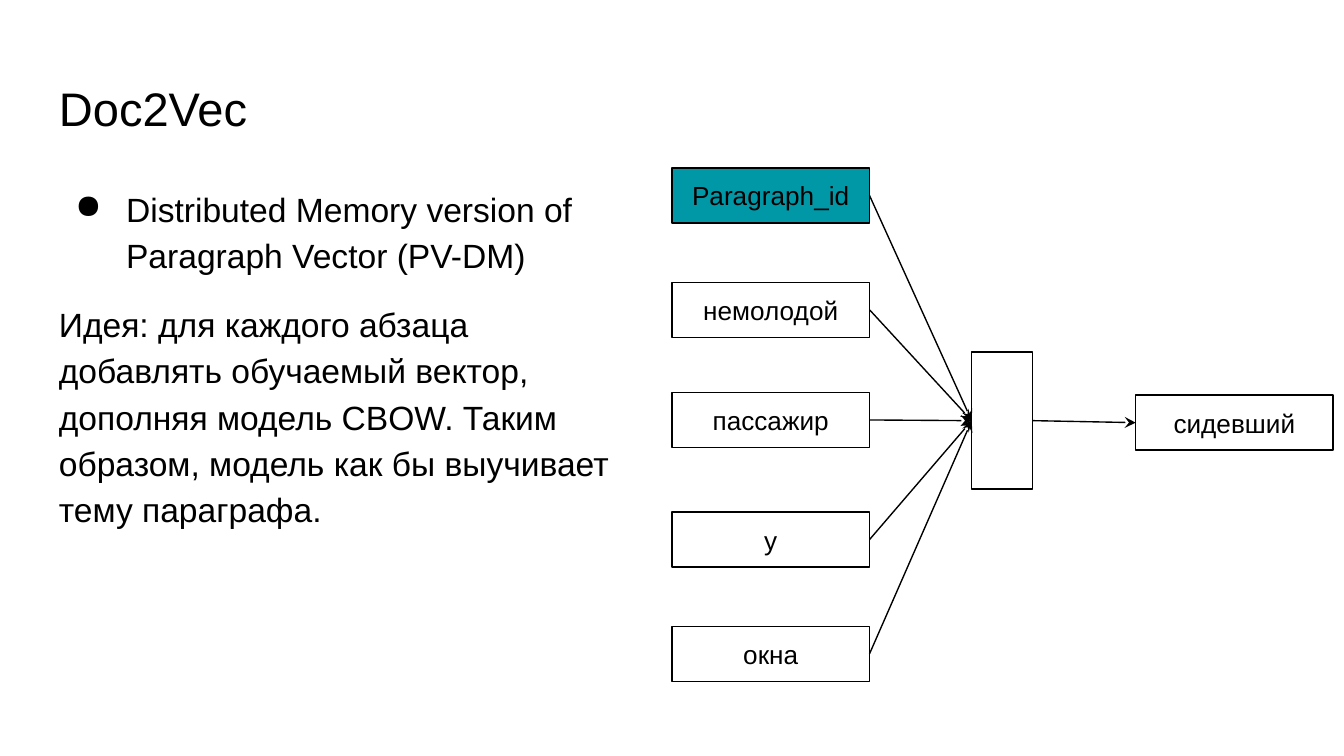
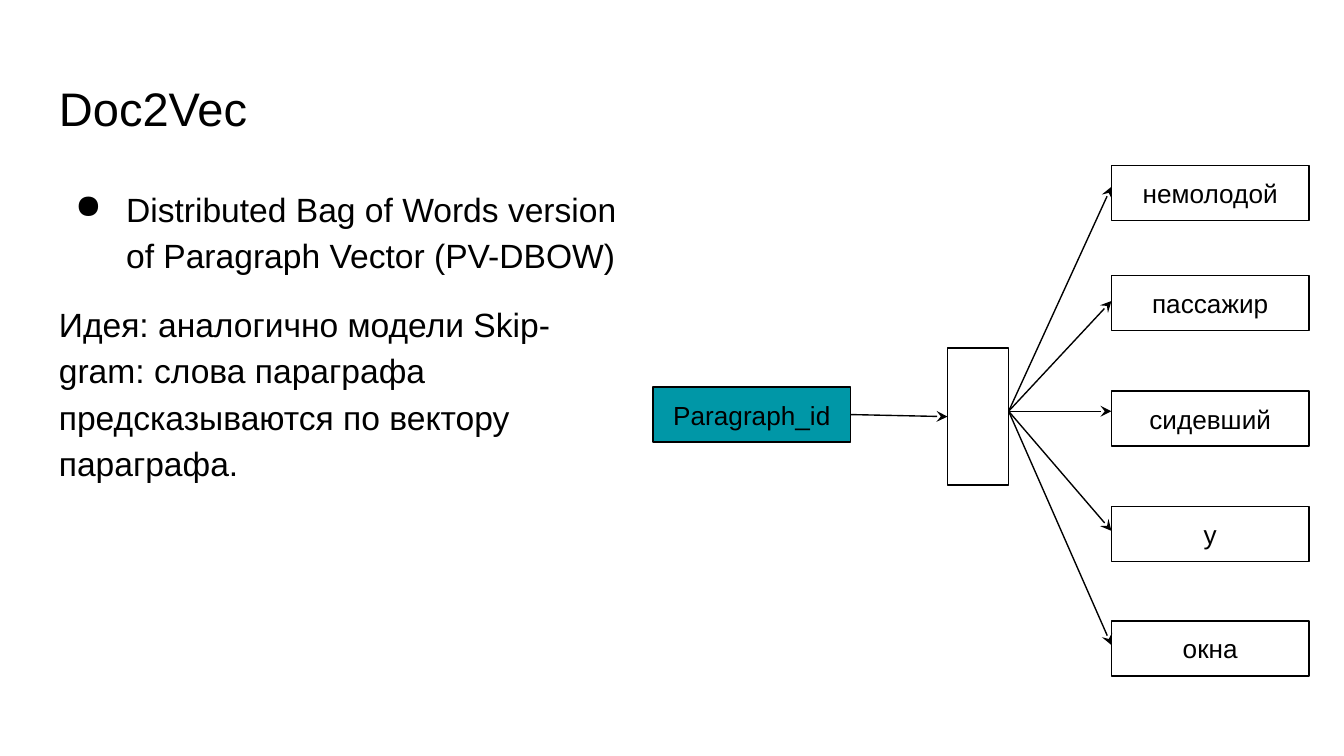
from lxml import etree
from pptx import Presentation
from pptx.dml.color import RGBColor
from pptx.enum.shapes import MSO_CONNECTOR, MSO_SHAPE
from pptx.enum.text import MSO_ANCHOR, PP_ALIGN
from pptx.oxml.ns import qn
from pptx.util import Inches, Pt

RECT = MSO_SHAPE.RECTANGLE
STRAIGHT = MSO_CONNECTOR.STRAIGHT
TOP, MIDDLE = MSO_ANCHOR.TOP, MSO_ANCHOR.MIDDLE
LEFT, CENTER = PP_ALIGN.LEFT, PP_ALIGN.CENTER

COLORS = {"ink": "000000", "paper": "FFFFFF", "paragraph": "0097A7"}
FONT = "Arial"
TITLE_SIZE, BODY_SIZE, BOX_SIZE = 25.2, 18, 14
LINE_WIDTH = 0.75
COLUMNS = 100  # square cells, a hundred across the slide

# Sizes in grid cells
WORD_W, WORD_H = 14.7, 4.1
HIDDEN_W, HIDDEN_H = 4.55, 10.2


def rgb(name):
    return RGBColor.from_string(COLORS[name])


class Deck:
    """Holds the style and the current slide."""

    def __init__(self):
        self.prs = Presentation()
        self.prs.slide_width = Inches(10)
        self.prs.slide_height = Inches(5.625)
        self.cell = self.prs.slide_width / COLUMNS
        self.s = None

    def grid(self, *cells):
        return [round(c * self.cell) for c in cells]

    def slide(self, title):
        self.s = self.prs.slides.add_slide(self.prs.slide_layouts[6])
        fill = self.s.background.fill
        fill.solid()
        fill.fore_color.rgb = rgb("paper")
        tf = self.text_box(3.4, 4.9, 93.2, 6.3)
        self.run(tf.paragraphs[0], title, TITLE_SIZE)

    def frame(self, sp, anchor):
        tf = sp.text_frame
        tf.word_wrap = True
        tf.vertical_anchor = anchor
        tf.margin_left = tf.margin_right = Inches(0.1)
        tf.margin_top = tf.margin_bottom = Inches(0.1)
        return tf

    def text_box(self, x, y, w, h):
        return self.frame(self.s.shapes.add_textbox(*self.grid(x, y, w, h)), TOP)

    def run(self, p, text, size, align=LEFT):
        p.alignment = align
        r = p.add_run()
        r.text = text
        r.font.name = FONT
        r.font.size = Pt(size)
        r.font.color.rgb = rgb("ink")

    def bullet(self, p):
        pPr = p._p.get_or_add_pPr()
        pPr.set("marL", str(Inches(0.5)))
        pPr.set("indent", str(Inches(-0.38)))
        color = etree.SubElement(pPr, qn("a:buClr"))
        etree.SubElement(color, qn("a:srgbClr"), val=COLORS["ink"])
        etree.SubElement(pPr, qn("a:buChar"), char="●")

    def body(self, name, idea):
        tf = self.text_box(3.4, 12.6, 43.7, 37.4)
        p = tf.paragraphs[0]
        p.line_spacing = 1.15
        self.run(p, name, BODY_SIZE)
        self.bullet(p)
        p = tf.add_paragraph()
        p.line_spacing = 1.15
        p.space_before = p.space_after = Pt(12)
        self.run(p, idea, BODY_SIZE)

    def box(self, x, y, w, h, text="", fill=None):
        sp = self.s.shapes.add_shape(RECT, *self.grid(x, y, w, h))
        sp.shadow.inherit = False
        if fill:
            sp.fill.solid()
            sp.fill.fore_color.rgb = rgb(fill)
        else:
            sp.fill.background()
        sp.line.color.rgb = rgb("ink")
        sp.line.width = Pt(LINE_WIDTH)
        if text:
            tf = self.frame(sp, MIDDLE)
            self.run(tf.paragraphs[0], text, BOX_SIZE, CENTER)

    def word(self, x, y, text, fill=None):
        self.box(x, y, WORD_W, WORD_H, text, fill)

    def hidden(self, x, y):
        self.box(x, y, HIDDEN_W, HIDDEN_H)

    def arrow(self, x1, y1, x2, y2):
        line = self.s.shapes.add_connector(STRAIGHT, *self.grid(x1, y1, x2, y2))
        line.line.color.rgb = rgb("ink")
        line.line.width = Pt(LINE_WIDTH)
        etree.SubElement(line.line._get_or_add_ln(), qn("a:tailEnd"), type="stealth")
        etree.SubElement(line._element.spPr, qn("a:effectLst"))


def memory_slide(deck):
    deck.slide("Doc2Vec")
    deck.body(
        "Distributed Memory version of Paragraph Vector (PV-DM)",
        "Идея: для каждого абзаца добавлять обучаемый вектор, дополняя модель "
        "CBOW. Таким образом, модель как бы выучивает тему параграфа.",
    )
    inputs_x, hidden_x, output_x = 50, 72.3, 84.5
    hidden_y, output_y = 26.2, 29.4
    center = hidden_y + HIDDEN_H / 2
    inputs = {"Paragraph_id": 12.5, "немолодой": 21, "пассажир": 29.2,
              "у": 38.1, "окна": 46.6}

    # Inputs, hidden layer and predicted word
    for text, y in inputs.items():
        deck.word(inputs_x, y, text, "paragraph" if text == "Paragraph_id" else None)
    deck.hidden(hidden_x, hidden_y)
    deck.word(output_x, output_y, "сидевший")

    # Arrows into and out of the hidden layer
    for y in inputs.values():
        deck.arrow(inputs_x + WORD_W, y + WORD_H / 2, hidden_x, center)
    deck.arrow(hidden_x + HIDDEN_W, center, output_x, output_y + WORD_H / 2)


def bag_of_words_slide(deck):
    deck.slide("Doc2Vec")
    deck.body(
        "Distributed Bag of Words version of Paragraph Vector (PV-DBOW)",
        "Идея: аналогично модели Skip-gram: слова параграфа предсказываются "
        "по вектору параграфа.",
    )
    input_x, hidden_x, outputs_x = 48.6, 70.5, 82.7
    input_y, hidden_y = 28.8, 25.9
    fan_y = 30.6  # where the outgoing arrows start
    # Top of each predicted word, and the height its arrow reaches
    outputs = {"немолодой": (12.3, 13.9), "пассажир": (20.5, 22.4),
               "сидевший": (29.1, fan_y), "у": (37.7, 39.5), "окна": (46.2, 48)}

    # Input, hidden layer and predicted words
    deck.word(input_x, input_y, "Paragraph_id", "paragraph")
    deck.hidden(hidden_x, hidden_y)
    for text, (y, _) in outputs.items():
        deck.word(outputs_x, y, text)

    # Arrows into and out of the hidden layer
    for _, end_y in outputs.values():
        deck.arrow(hidden_x + HIDDEN_W, fan_y, outputs_x, end_y)
    deck.arrow(input_x + WORD_W, input_y + WORD_H / 2,
               hidden_x, hidden_y + HIDDEN_H / 2)


def main():
    deck = Deck()
    memory_slide(deck)
    bag_of_words_slide(deck)
    deck.prs.save("out.pptx")


if __name__ == "__main__":
    main()
